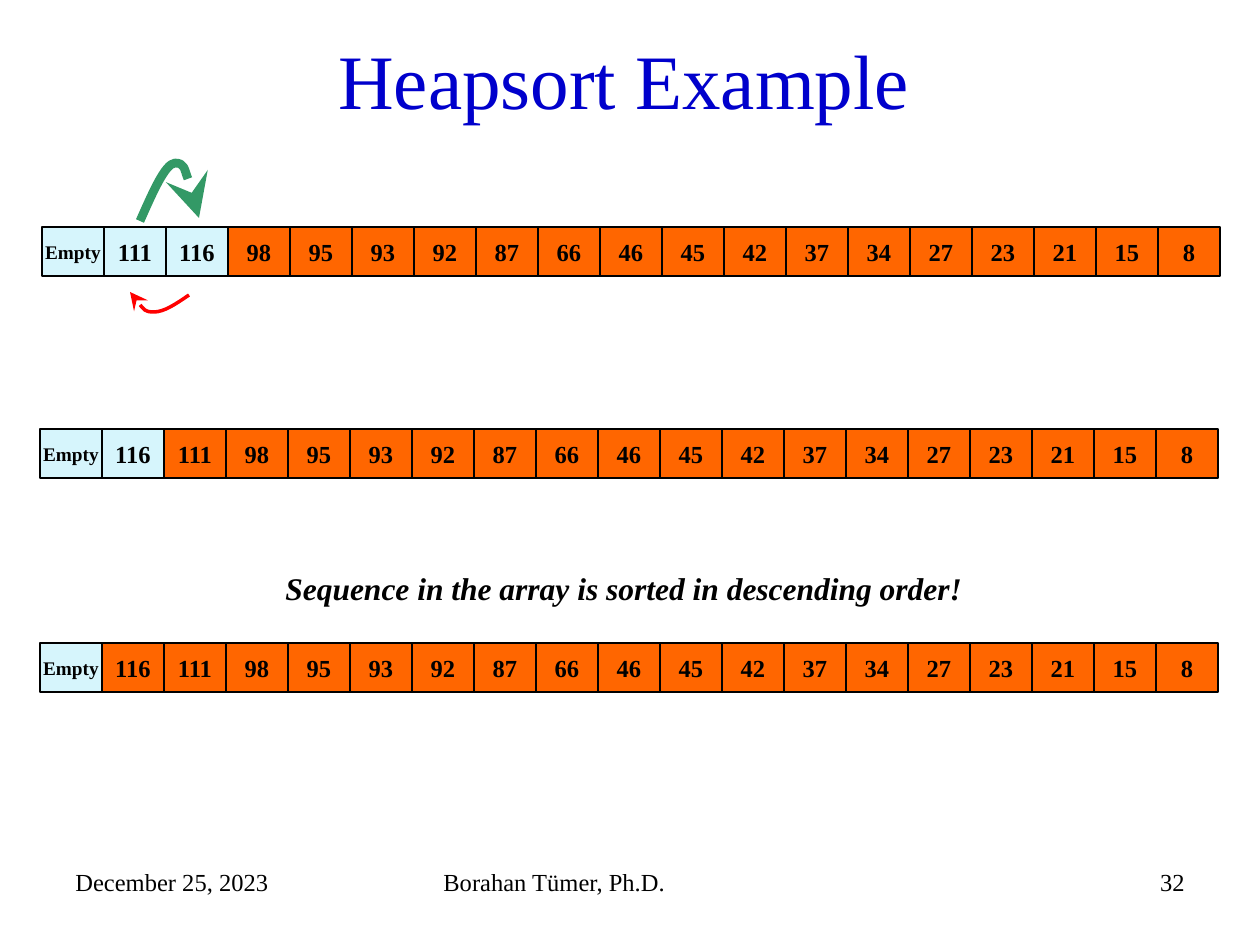
from lxml import etree
from pptx import Presentation
from pptx.dml.color import RGBColor
from pptx.enum.shapes import MSO_SHAPE
from pptx.enum.text import MSO_ANCHOR, PP_ALIGN
from pptx.oxml.ns import qn
from pptx.util import Pt

SCALE = 914400 / 126
FONT = "Times New Roman"
RECTANGLE = MSO_SHAPE.RECTANGLE
LEFT, CENTER, RIGHT = PP_ALIGN.LEFT, PP_ALIGN.CENTER, PP_ALIGN.RIGHT
TOP, MIDDLE = MSO_ANCHOR.TOP, MSO_ANCHOR.MIDDLE
BLACK, BLUE, GREEN, RED = "000000", "0000CC", "339966", "FF0000"
HEAP_FILL, SORTED_FILL = "D6F5FC", "FF6600"
CELL_WIDTH, CELL_HEIGHT = 62, 49
SORTED_TAIL = [98, 95, 93, 92, 87, 66, 46, 45, 42, 37, 34, 27, 23, 21, 15, 8]
ARRAY_ROWS = [
    (42, 227, ["Empty", 111, 116] + SORTED_TAIL, 3),
    (40, 429, ["Empty", 116, 111] + SORTED_TAIL, 2),
    (40, 643, ["Empty", 116, 111] + SORTED_TAIL, 1),
]
FOOTERS = [
    ((63, 861, 294, 66), "December 25, 2023", LEFT),
    ((431, 861, 399, 66), "Borahan Tümer, Ph.D.", LEFT),
    ((903, 861, 294, 66), "32", RIGHT),
]
SWAP_ARROWS = [
    ([(140, 221), (153, 192), (165, 164), (175, 163), (185, 163), (193, 190), (199, 218)], GREEN, 5),
    ([(189, 295), (176, 304), (164, 312), (154, 312), (144, 312), (137, 302), (130, 292)], RED, 2),
]


def px(length):
    """Turn pixels into EMU."""
    return round(length * SCALE)


def color(hex_string):
    """Turn a hex string into a colour."""
    return RGBColor.from_string(hex_string)


def write_text(shape, text, size, align=LEFT, anchor=TOP, wrap=True, hex_color=BLACK, bold=False, italic=False):
    """Write one run of text into a shape."""
    frame = shape.text_frame
    frame.word_wrap = wrap
    frame.vertical_anchor = anchor
    paragraph = frame.paragraphs[0]
    paragraph.alignment = align
    run = paragraph.add_run()
    run.text = text
    run.font.name = FONT
    run.font.size = Pt(size)
    run.font.bold = bold
    run.font.italic = italic
    run.font.color.rgb = color(hex_color)


def add_text(slide, box, text, size, **style):
    """Add a text box that fills the given box."""
    write_text(slide.shapes.add_textbox(*map(px, box)), text, size, **style)


def add_array_row(slide, left, top, values, heap_count):
    """Add a grouped row of array cells, the first heap_count in the heap colour."""
    group = slide.shapes.add_group_shape()
    for index, value in enumerate(values):
        box = (left + index * CELL_WIDTH, top, CELL_WIDTH, CELL_HEIGHT)
        cell = group.shapes.add_shape(RECTANGLE, *map(px, box))
        cell.shadow.inherit = False
        cell.fill.solid()
        cell.fill.fore_color.rgb = color(HEAP_FILL if index < heap_count else SORTED_FILL)
        cell.line.color.rgb = color(BLACK)
        cell.line.width = Pt(0.75)
        size = 11 if value == "Empty" else 14
        write_text(cell, str(value), size, align=CENTER, anchor=MIDDLE, wrap=False, bold=True)


def add_swap_arrow(slide, points, hex_color, width):
    """Add a curved arrow through cubic Bézier points."""
    builder = slide.shapes.build_freeform(*points[0], scale=SCALE)
    builder.add_line_segments(points[1:], close=False)
    arrow = builder.convert_to_shape()
    arrow.shadow.inherit = False
    arrow.fill.background()
    arrow.line.color.rgb = color(hex_color)
    arrow.line.width = Pt(width)
    path = next(arrow.element.iter(qn("a:path")))
    segments = path.findall(qn("a:lnTo"))
    for start in range(0, len(segments), 3):
        curve = etree.SubElement(path, qn("a:cubicBezTo"))
        for segment in segments[start:start + 3]:
            curve.append(segment[0])
            path.remove(segment)
    line = arrow.element.spPr.find(qn("a:ln"))
    etree.SubElement(line, qn("a:tailEnd"), type="stealth", w="lg", len="lg")


def build_slide(presentation):
    """Build the heapsort example slide."""
    slide = presentation.slides.add_slide(presentation.slide_layouts[6])
    for box, text, align in FOOTERS:
        add_text(slide, box, text, 14, align=align)
    add_text(slide, (57, 0, 1134, 158), "Heapsort Example", 44,
             align=CENTER, anchor=MIDDLE, hex_color=BLUE)
    for row in ARRAY_ROWS:
        add_array_row(slide, *row)
    for arrow in SWAP_ARROWS:
        add_swap_arrow(slide, *arrow)
    add_text(slide, (273, 563, 703, 50), "Sequence in the array is sorted in descending order!", 18,
             wrap=False, bold=True, italic=True)


def main():
    """Create and save the presentation."""
    presentation = Presentation()
    presentation.slide_width = px(1260)
    presentation.slide_height = px(945)
    build_slide(presentation)
    presentation.save("out.pptx")


if __name__ == "__main__":
    main()
